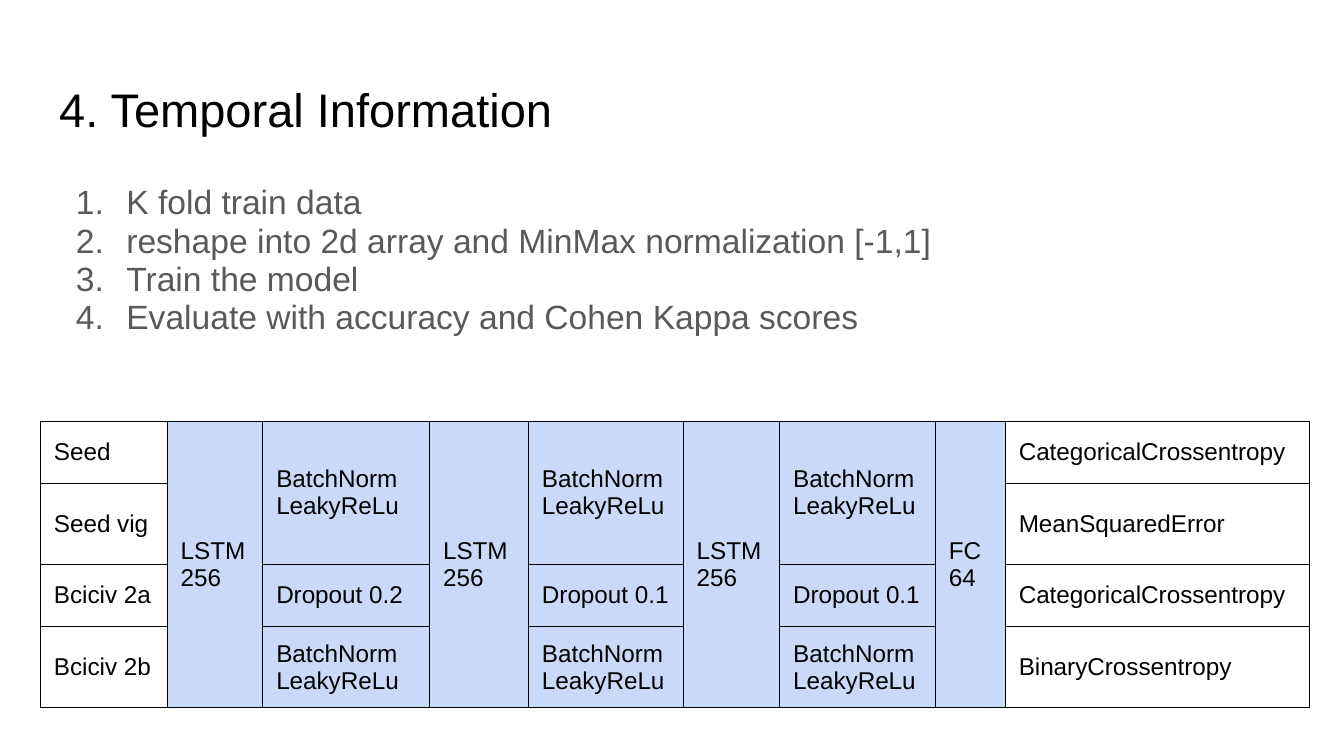
import pptx
import pptx.util
import pptx.dml.color
import pptx.enum.text
import pptx.oxml
import pptx.oxml.ns
import lxml.etree

Pt = pptx.util.Pt
RGBColor = pptx.dml.color.RGBColor
ALIGN = pptx.enum.text.PP_ALIGN
ANCHOR = pptx.enum.text.MSO_ANCHOR

BLACK = RGBColor(0x00, 0x00, 0x00)
GREY = RGBColor(0x59, 0x59, 0x59)
BLUE = RGBColor(0xC9, 0xDA, 0xF8)
INSET = Pt(7.2)

STEPS = [
    "K fold train data",
    "reshape into 2d array and MinMax normalization [-1,1]",
    "Train the model",
    "Evaluate with accuracy and Cohen Kappa scores",
]
SETS = ["Seed", "Seed vig", "Bciciv 2a", "Bciciv 2b"]
LOSSES = ["CategoricalCrossentropy", "MeanSquaredError",
          "CategoricalCrossentropy", "BinaryCrossentropy"]
RATES = [0.2, 0.1, 0.1]
NORM = "BatchNorm\nLeakyReLu"
WIDTHS = [67.9, 51.2, 89.4, 53, 82.9, 51.7, 83.4, 37.5, 163]
HEIGHTS = [33.3, 43.3, 33.3, 43.3]


def add_node(parent, tag, **attrs):
    """Append a drawing node and return it."""
    node = lxml.etree.SubElement(parent, pptx.oxml.ns.qn(tag))
    for key, value in attrs.items():
        node.set(key, str(value))
    return node


def set_font(para, size, color):
    para.font.name = "Arial"
    para.font.size = Pt(size)
    para.font.color.rgb = color


def set_frame(holder, box, anchor):
    """Place a placeholder and return its text frame."""
    holder.left, holder.top, holder.width, holder.height = map(Pt, box)
    frame = holder.text_frame
    frame.margin_left = frame.margin_right = INSET
    frame.margin_top = frame.margin_bottom = INSET
    frame.word_wrap = True
    frame.auto_size = pptx.enum.text.MSO_AUTO_SIZE.NONE
    frame.vertical_anchor = anchor
    return frame


def fill_title(holder, text):
    frame = set_frame(holder, (24.5, 35.8, 671, 45.4), ANCHOR.MIDDLE)
    frame.text = text
    para = frame.paragraphs[0]
    para.alignment = ALIGN.LEFT
    set_font(para, 25.2, BLACK)


def fill_list(holder, items):
    """Write a numbered list."""
    frame = set_frame(holder, (24.5, 91.5, 671, 99.4), ANCHOR.TOP)
    frame.text = "\n".join(items)
    for para in frame.paragraphs:
        para.line_spacing = 0.95
        para.space_before = para.space_after = Pt(0)
        props = para._p.get_or_add_pPr()
        props.set("marL", str(Pt(36)))
        props.set("indent", str(-Pt(27)))
        tint = add_node(props, "a:buClr")
        add_node(tint, "a:srgbClr", val=GREY)
        add_node(props, "a:buFont", typeface="Arial")
        add_node(props, "a:buAutoNum", type="arabicPeriod")
        set_font(para, 18, GREY)


def add_edges(cell):
    """Draw a thin black line on all four sides; lines precede the fill."""
    props = cell._tc.get_or_add_tcPr()
    for spot, side in enumerate("LRTB"):
        line = add_node(props, "a:ln" + side, w=Pt(0.75))
        paint = add_node(line, "a:solidFill")
        add_node(paint, "a:srgbClr", val=BLACK)
        props.insert(spot, line)


def style_cell(cell, shaded):
    cell.margin_left = cell.margin_right = INSET
    cell.margin_top = cell.margin_bottom = INSET
    cell.vertical_anchor = ANCHOR.MIDDLE
    if shaded:
        cell.fill.solid()
        cell.fill.fore_color.rgb = BLUE
    else:
        cell.fill.background()
    add_edges(cell)
    for para in cell.text_frame.paragraphs:
        set_font(para, 13, BLACK)


def add_block(grid, col, row, text, span=1):
    """Write text in a cell that covers span rows."""
    cell = grid.cell(row, col)
    if span > 1:
        cell.merge(grid.cell(row + span - 1, col))
    cell.text = text


def add_model(slide):
    """Draw the layers of the model as a table."""
    rows, cols = len(HEIGHTS), len(WIDTHS)
    last = cols - 1
    grid = slide.shapes.add_table(rows, cols, Pt(21.7), Pt(225.7),
                                  Pt(sum(WIDTHS)), Pt(sum(HEIGHTS))).table
    grid.first_row = grid.horz_banding = False
    for col, width in zip(grid.columns, WIDTHS):
        col.width = Pt(width)
    for row, height in zip(grid.rows, HEIGHTS):
        row.height = Pt(height)

    # Data sets on the left, loss functions on the right
    for row, (name, loss) in enumerate(zip(SETS, LOSSES)):
        add_block(grid, 0, row, name)
        add_block(grid, last, row, loss)

    # Pairs of recurrent and norm layers, then the dense layer
    for step, rate in enumerate(RATES):
        col = 1 + 2 * step
        add_block(grid, col, 0, "LSTM\n256", rows)
        add_block(grid, col + 1, 0, NORM, 2)
        add_block(grid, col + 1, 2, f"Dropout {rate}")
        add_block(grid, col + 1, 3, NORM)
    add_block(grid, last - 1, 0, "FC 64", rows)

    for row in range(rows):
        for col in range(cols):
            style_cell(grid.cell(row, col), 0 < col < last)


def main():
    deck = pptx.Presentation()
    deck.slide_width, deck.slide_height = Pt(720), Pt(405)
    slide = deck.slides.add_slide(deck.slide_layouts[1])
    fill_title(slide.shapes.title, "4. Temporal Information")
    fill_list(slide.placeholders[1], STEPS)
    add_model(slide)
    deck.save("out.pptx")


if __name__ == "__main__":
    main()
